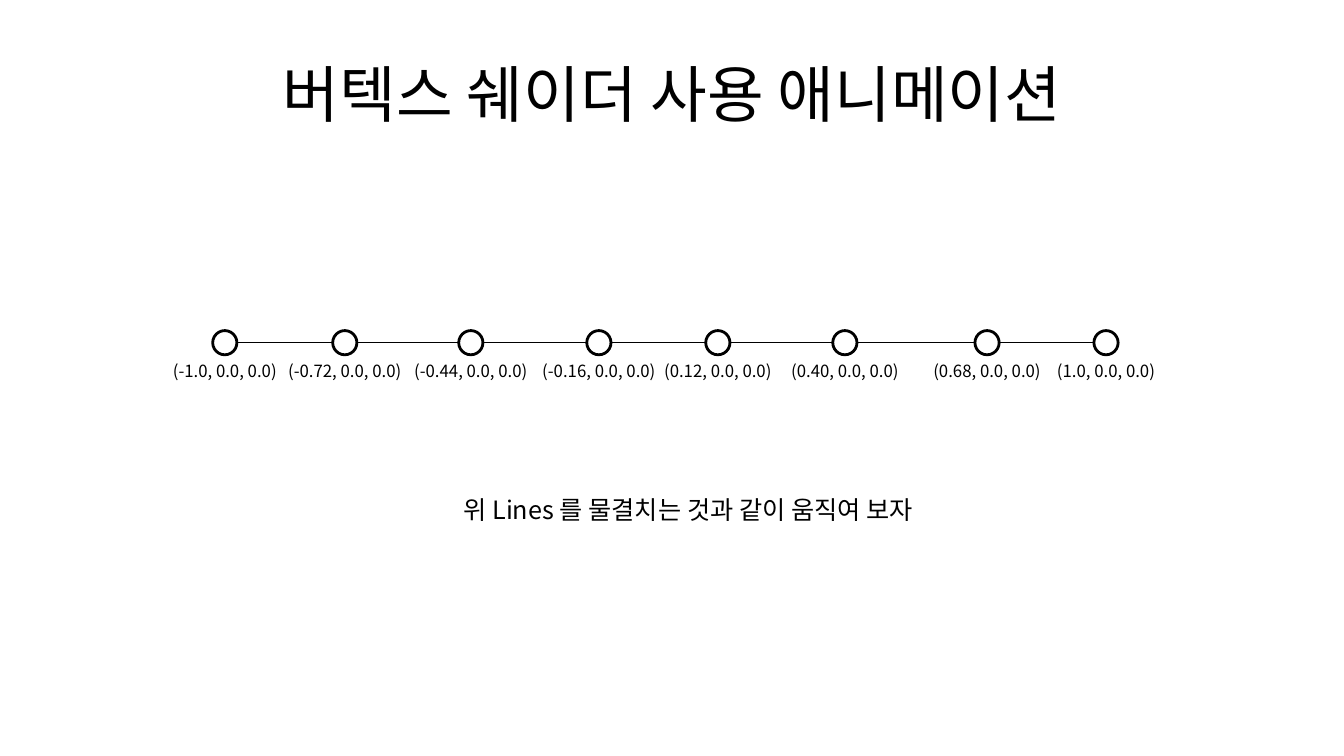
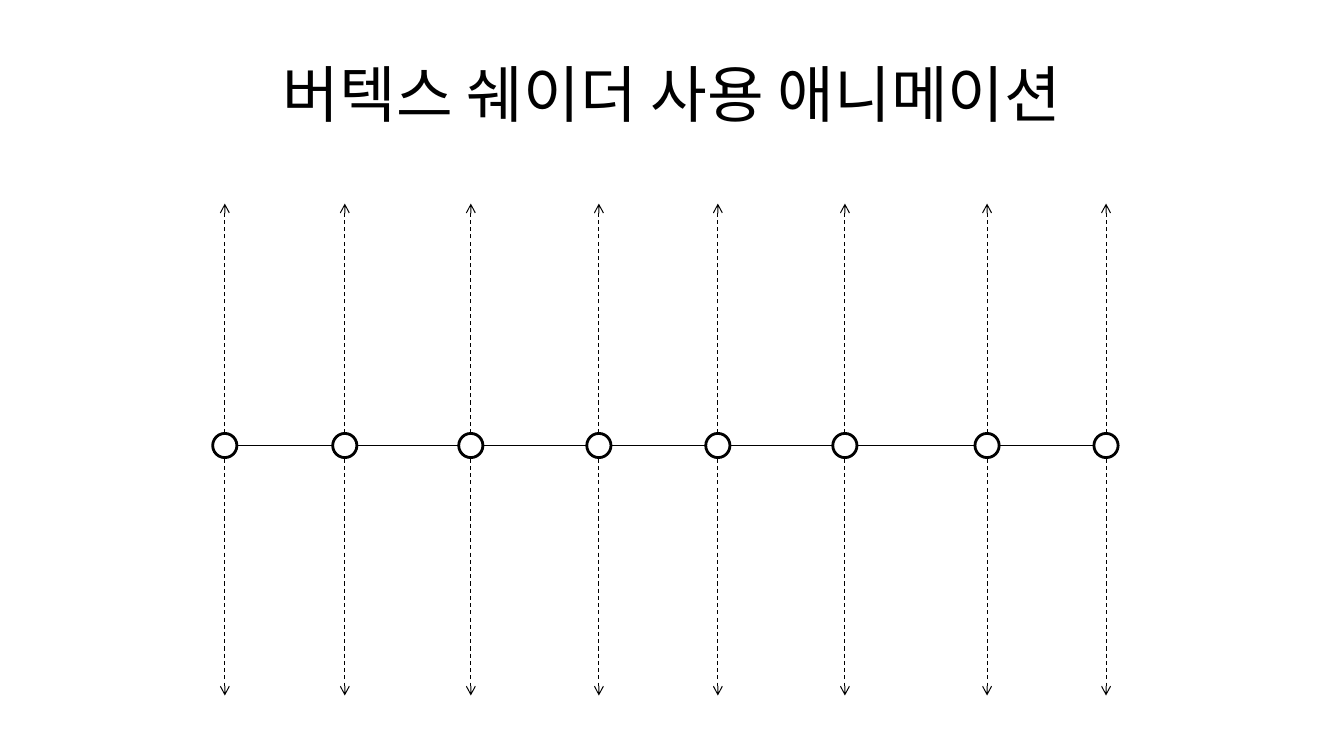
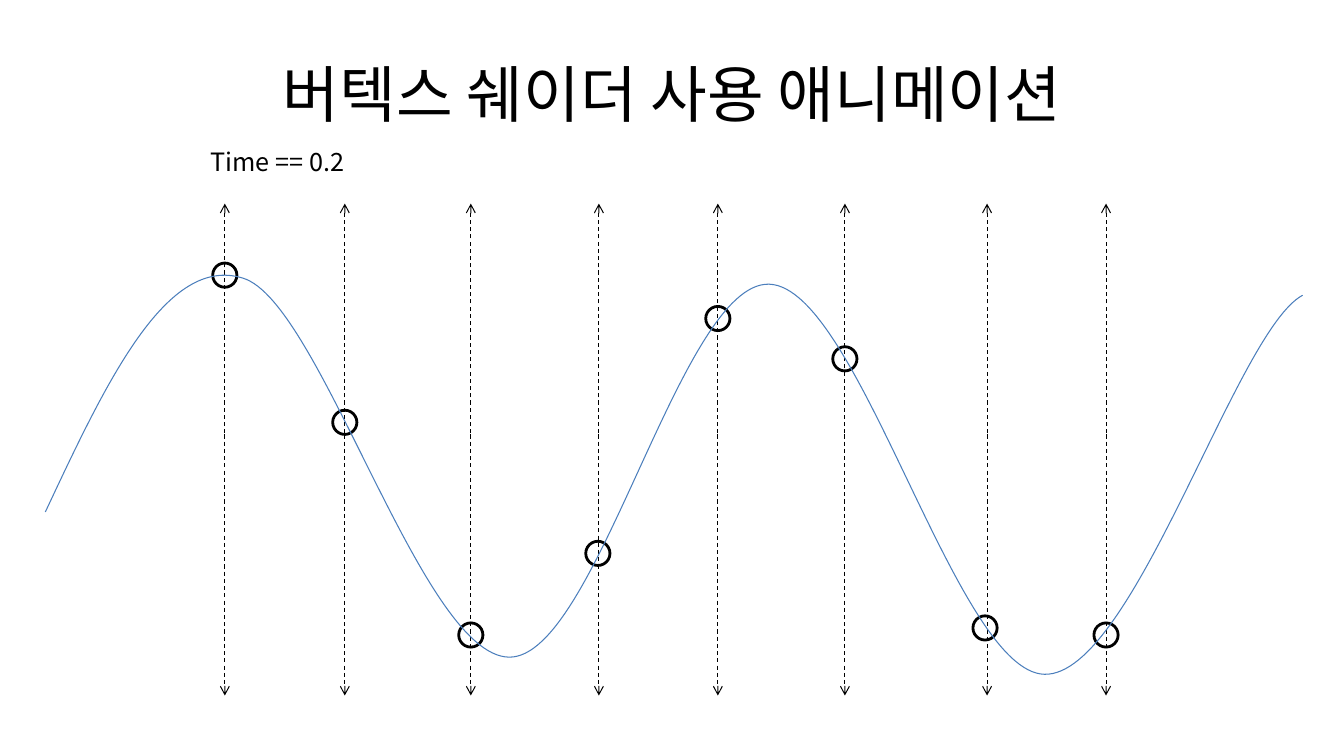
"""Build three slides on animating a line of vertices with a vertex shader."""
import dataclasses
import itertools

import lxml.etree
import pptx
import pptx.dml.color
import pptx.enum.dml
import pptx.enum.shapes
import pptx.enum.text
import pptx.oxml.ns
import pptx.util

Inches = pptx.util.Inches
Pt = pptx.util.Pt
qn = pptx.oxml.ns.qn


@dataclasses.dataclass(frozen=True)
class Theme:
    font: str = "Noto Sans CJK KR"
    ink: pptx.dml.color.RGBColor = pptx.dml.color.RGBColor.from_string("000000")
    paper: pptx.dml.color.RGBColor = pptx.dml.color.RGBColor.from_string("FFFFFF")
    wave: pptx.dml.color.RGBColor = pptx.dml.color.RGBColor.from_string("4B7EBC")
    title_size: float = 44
    body_size: float = 18
    label_size: float = 12
    thin: float = 0.75
    thick: float = 2


theme = Theme()


def write(shape, text, size=theme.body_size, align="CENTER", anchor="TOP", fit="SHAPE_TO_FIT_TEXT"):
    frame = shape.text_frame
    frame.word_wrap = True
    frame.auto_size = pptx.enum.text.MSO_AUTO_SIZE[fit]
    frame.vertical_anchor = pptx.enum.text.MSO_ANCHOR[anchor]
    paragraph = frame.paragraphs[0]
    paragraph.alignment = pptx.enum.text.PP_ALIGN[align]
    run = paragraph.add_run()
    run.text = text
    run.font.size = Pt(size)
    run.font.name = theme.font
    run.font.color.rgb = theme.ink


def draw_line(shapes, x1, y1, x2, y2, arrow=False):
    line = shapes.add_connector(
        pptx.enum.shapes.MSO_CONNECTOR.STRAIGHT, Inches(x1), Inches(y1), Inches(x2), Inches(y2))
    line.line.color.rgb = theme.ink
    line.line.width = Pt(theme.thin)
    properties = line._element.spPr
    if arrow:
        line.line.dash_style = pptx.enum.dml.MSO_LINE.DASH
        lxml.etree.SubElement(properties.find(qn("a:ln")), qn("a:tailEnd"), type="arrow")
    lxml.etree.SubElement(properties, qn("a:effectLst"))


TITLE = "버텍스 쉐이더 사용 애니메이션"
RADIUS = 0.12
ARROW_TOP, ARROW_BOTTOM = 2.02, 6.9
LABEL_WIDTH = 1.51
vertex_xs = [2.23, 3.42, 4.67, 5.94, 7.12, 8.38, 9.79, 10.97]
moved_xs = [2.23, 3.42, 4.67, 5.93, 7.12, 8.38, 9.77, 10.97]
vertex_labels = ["-1.0", "-0.72", "-0.44", "-0.16", "0.12", "0.40", "0.68", "1.0"]
wave_start = (0.45, 5.08)
wave_curves = [
    ((1.05, 3.8), (1.65, 2.52), (2.41, 2.76)),
    ((3.18, 2.99), (4.18, 6.51), (5.05, 6.52)),
    ((5.92, 6.53), (6.75, 2.79), (7.63, 2.82)),
    ((8.52, 2.85), (9.48, 6.67), (10.36, 6.69)),
    ((11.24, 6.71), (12.26, 3.28), (12.92, 2.93)),
]
stages = [
    dict(xs=vertex_xs, ys=[3.4] * 8, joined=True, arrow_starts=()),
    dict(xs=vertex_xs, ys=[4.42] * 8, joined=True, arrow_starts=(4.3, 4.55)),
    dict(xs=moved_xs, ys=[2.73, 4.19, 6.3, 5.49, 3.16, 3.56, 6.23, 6.3],
         joined=False, arrow_starts=(4.3, 4.31)),
]

deck = pptx.Presentation()
deck.slide_width, deck.slide_height = Inches(13.33), Inches(7.5)
title_layout = deck.slide_layouts.get_by_name("Title Only")
layout_title = title_layout.placeholders[0]
layout_title.left, layout_title.top = Inches(0.67), Inches(0.3)
layout_title.width, layout_title.height = Inches(12), Inches(1.25)

slides = []
for stage in stages:
    slide = deck.slides.add_slide(title_layout)
    slides.append(slide)
    write(slide.shapes.title, TITLE, size=theme.title_size, anchor="MIDDLE", fit="NONE")
    vertices = list(zip(stage["xs"], stage["ys"]))
    for x, y in vertices:
        vertex = slide.shapes.add_shape(
            pptx.enum.shapes.MSO_SHAPE.OVAL,
            Inches(x - RADIUS), Inches(y - RADIUS), Inches(2 * RADIUS), Inches(2 * RADIUS))
        vertex.shadow.inherit = False
        vertex.fill.solid()
        vertex.fill.fore_color.rgb = theme.paper
        vertex.line.color.rgb = theme.ink
        vertex.line.width = Pt(theme.thick)
    if stage["joined"]:
        for (x1, y1), (x2, y2) in itertools.pairwise(vertices):
            draw_line(slide.shapes, x1 + RADIUS, y1, x2 - RADIUS, y2)
    for start, end in zip(stage["arrow_starts"], (ARROW_TOP, ARROW_BOTTOM)):
        arrows = slide.shapes.add_group_shape()
        for x in vertex_xs:
            draw_line(arrows.shapes, x, start, x, end, arrow=True)

line_slide, _, wave_slide = slides

task = line_slide.shapes.add_textbox(Inches(2.89), Inches(4.85), Inches(7.87), Inches(0.4))
write(task, "위 Lines 를 물결치는 것과 같이 움직여 보자")
for x, label in zip(vertex_xs, vertex_labels):
    coordinate = line_slide.shapes.add_textbox(
        Inches(x - LABEL_WIDTH / 2), Inches(3.53), Inches(LABEL_WIDTH), Inches(0.3))
    write(coordinate, f"({label}, 0.0, 0.0)", size=theme.label_size)

time = wave_slide.shapes.add_textbox(Inches(1.99), Inches(1.4), Inches(1.67), Inches(0.4))
write(time, "Time == 0.2", align="LEFT")

outline = wave_slide.shapes.build_freeform(*map(Inches, wave_start))
outline.add_line_segments([tuple(map(Inches, curve[-1])) for curve in wave_curves], close=False)
wave = outline.convert_to_shape()
wave.shadow.inherit = False
wave.fill.background()
wave.line.color.rgb = theme.wave
wave.line.width = Pt(theme.thin)
for segment, curve in zip(list(wave._element.iter(qn("a:lnTo"))), wave_curves):
    bend = lxml.etree.Element(qn("a:cubicBezTo"))
    for x, y in curve:
        lxml.etree.SubElement(
            bend, qn("a:pt"), x=str(Inches(x) - wave.left), y=str(Inches(y) - wave.top))
    segment.getparent().replace(segment, bend)

deck.save("out.pptx")
